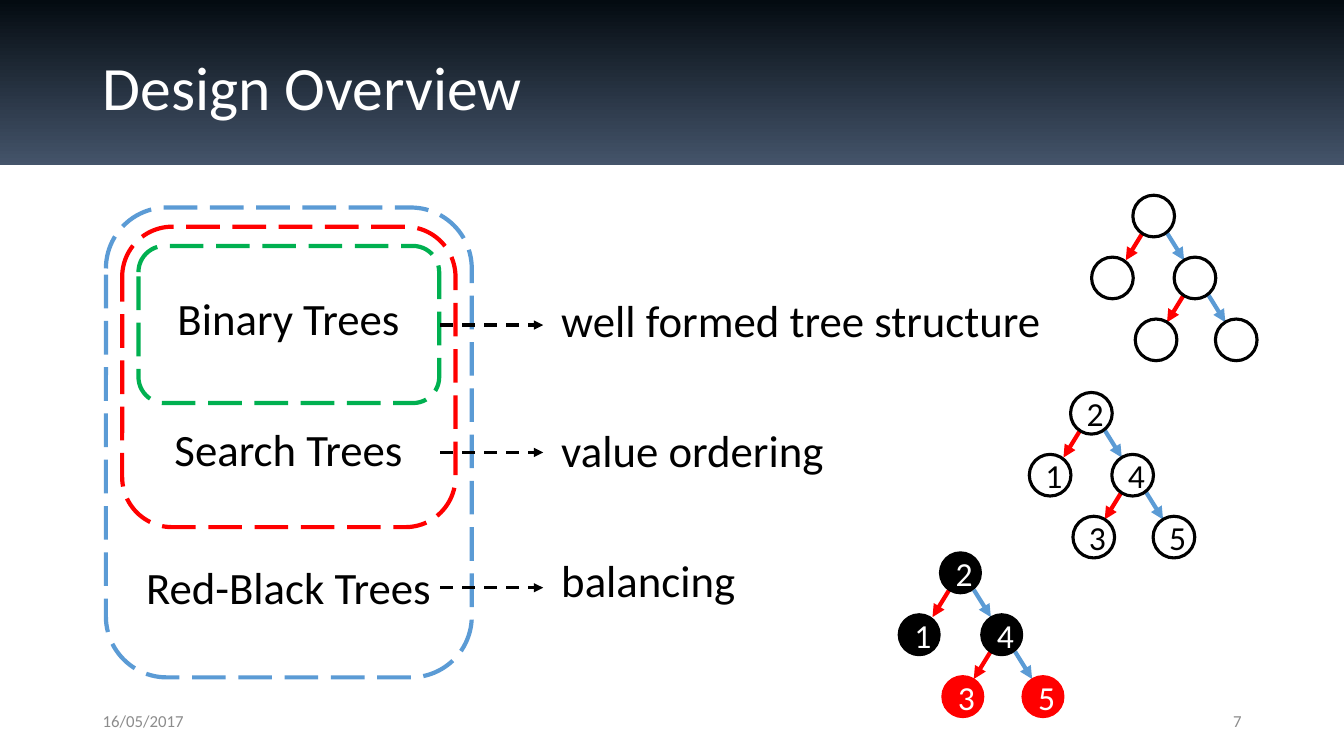
from lxml import etree
from pptx import Presentation
from pptx.dml.color import RGBColor
from pptx.enum.dml import MSO_LINE
from pptx.enum.shapes import MSO_CONNECTOR, MSO_SHAPE
from pptx.enum.text import MSO_ANCHOR, MSO_AUTO_SIZE, PP_ALIGN
from pptx.oxml.ns import qn
from pptx.util import Cm, Pt

RECT, ROUND, OVAL = MSO_SHAPE.RECTANGLE, MSO_SHAPE.ROUNDED_RECTANGLE, MSO_SHAPE.OVAL
LEFT, MID, RIGHT = PP_ALIGN.LEFT, PP_ALIGN.CENTER, PP_ALIGN.RIGHT
TOP, CENTER = MSO_ANCHOR.TOP, MSO_ANCHOR.MIDDLE
DASH, LONG = MSO_LINE.DASH, MSO_LINE.LONG_DASH
STRAIGHT, FIXED = MSO_CONNECTOR.STRAIGHT, MSO_AUTO_SIZE.NONE

FONT = "Calibri"
BLACK, WHITE, RED, BLUE = "000000", "FFFFFF", "FF0000", "5B9BD5"
GREEN, GREY = "00B050", "8C8C8C"

# Tree layout in cm, from the top left of the root node
NODE = 1.05
STEP_X, STEP_Y = 1.04, 1.56
SPOTS = [(0, 0), (-STEP_X, STEP_Y), (STEP_X, STEP_Y),
         (0.06, 2 * STEP_Y), (2 * STEP_X, 2 * STEP_Y)]


def color(code):
    return RGBColor.from_string(code)


def write(para, text, size, code, align=LEFT):
    para.alignment = align
    run = para.add_run()
    run.text = text
    run.font.name = FONT
    run.font.size = Pt(size)
    run.font.color.rgb = color(code)


def place(shape, box):
    shape.left, shape.top, shape.width, shape.height = map(Cm, box)


def draw(shapes, kind, box, fill, edge, width, dash=None):
    shape = shapes.add_shape(kind, *map(Cm, box))
    shape.shadow.inherit = False
    shape.fill.solid()
    shape.fill.fore_color.rgb = color(fill)
    shape.line.color.rgb = color(edge)
    shape.line.width = Pt(width)
    if dash:
        shape.line.dash_style = dash
    return shape


def arrow(shapes, start, end, code, width, dash=None):
    link = shapes.add_connector(STRAIGHT, *map(Cm, (*start, *end)))
    link.line.color.rgb = color(code)
    link.line.width = Pt(width)
    if dash:
        link.line.dash_style = dash
    etree.SubElement(link.line._get_or_add_ln(), qn("a:tailEnd"), type="triangle")
    etree.SubElement(link.element.spPr, qn("a:effectLst"))


def label(slide, box, text, size, code, align, anchor=TOP):
    frame = slide.shapes.add_textbox(*map(Cm, box)).text_frame
    frame.word_wrap = True
    frame.vertical_anchor = anchor
    write(frame.paragraphs[0], text, size, code, align)


def header(slide, box, text):
    # Gradient band behind the title
    band = slide.shapes.add_shape(RECT, *map(Cm, box))
    band.shadow.inherit = False
    band.line.fill.background()
    band.fill.gradient()
    band.fill.gradient_angle = 270
    for stop, code, pos in zip(band.fill.gradient_stops, ("040B11", "44546A"), (0, 1)):
        stop.color.rgb = color(code)
        stop.position = pos
    title = slide.shapes.title
    title.element.addprevious(band.element)
    x, y, wide, _ = box
    place(title, (x + 2.34, y + 1.01, wide - 4.67, 2.52))
    frame = title.text_frame
    frame.auto_size = FIXED
    frame.vertical_anchor = CENTER
    para = frame.paragraphs[0]
    para.line_spacing = 0.9
    write(para, text, 44, WHITE)


def traits(slide, box, lines):
    # Property list without bullets
    body = slide.placeholders[1]
    place(body, box)
    frame = body.text_frame
    frame.auto_size = FIXED
    frame.vertical_anchor = TOP
    for num, text in enumerate(lines):
        para = frame.add_paragraph() if num else frame.paragraphs[0]
        props = para._p.get_or_add_pPr()
        props.set("marL", "0")
        props.set("indent", "0")
        etree.SubElement(props, qn("a:buNone"))
        para.line_spacing = 0.9
        para.space_before = Pt(58.5 if num else 0)
        write(para, text, 32, BLACK)


def layers(slide, box):
    # Nested frames, each inset by one gap
    x, y, wide, high = box
    gap = 0.41
    for num, (code, tall) in enumerate([(BLUE, high), (RED, 7.57), (GREEN, 3.96)]):
        inset = num * gap
        frame = (x + inset, y + 1.18 * inset, wide - 2 * inset, tall)
        draw(slide.shapes, ROUND, frame, WHITE, code, 3, LONG)
    # Layer names and the arrows to their properties
    names = [("Binary Trees", 1.98, 2.96), ("Search Trees", 5.28, 6.17),
             ("Red-Black Trees", 8.74, 9.58)]
    for text, top, mid in names:
        label(slide, (x + 0.4, y + top, 8.41, 1.63), text, 32, BLACK, MID)
        arrow(slide.shapes, (x + 8.43, y + mid), (x + 11.02, y + mid), BLACK, 2.25, DASH)


def tree(slide, spot, marks, fills, edges, ink, width):
    x, y = spot
    group = slide.shapes.add_group_shape().shapes
    # Branches leave the root and its right child
    for dx, dy in (SPOTS[0], SPOTS[2]):
        left, top = x + dx, y + dy
        arrow(group, (left + 0.25, top + 0.94), (left - 0.18, top + 1.64), RED, 3)
        arrow(group, (left + 0.86, top + 0.95), (left + 1.29, top + 1.64), BLUE, 3)
    # Nodes
    for (dx, dy), mark, fill, edge in zip(SPOTS, marks, fills, edges):
        node = draw(group, OVAL, (x + dx, y + dy, NODE, NODE), fill, edge, width)
        if mark:
            frame = node.text_frame
            frame.vertical_anchor = CENTER
            write(frame.paragraphs[0], mark, 24, ink, MID)


def footer(slide, box, date, page):
    x, y, wide, high = box
    part = 7.62
    label(slide, (x, y, part, high), date, 12, GREY, LEFT, CENTER)
    label(slide, (x + wide - part, y, part, high), page, 12, GREY, RIGHT, CENTER)


def main():
    deck = Presentation()
    deck.slide_width, deck.slide_height = Cm(33.87), Cm(19.05)
    slide = deck.slides.add_slide(deck.slide_layouts[1])
    header(slide, (0, 0, 33.87, 4.17), "Design Overview")
    traits(slide, (13.89, 7.39, 17.65, 9.78),
           ["well formed tree structure", "value ordering", "balancing"])
    layers(slide, (2.67, 5.23, 9.22, 11.84))
    # Plain, ordered and balanced trees
    plain, dark = [WHITE] * 5, [BLACK] * 5
    mixed = [BLACK] * 3 + [RED] * 2
    tree(slide, (28.55, 4.92), [""] * 5, plain, dark, BLACK, 2.25)
    tree(slide, (26.98, 9.89), "21435", plain, dark, BLACK, 2.25)
    tree(slide, (23.68, 13.91), "21435", mixed, mixed, WHITE, 1)
    footer(slide, (2.34, 17.65, 29.2, 1.02), "16/05/2017", "7")
    deck.save("out.pptx")


if __name__ == "__main__":
    main()
